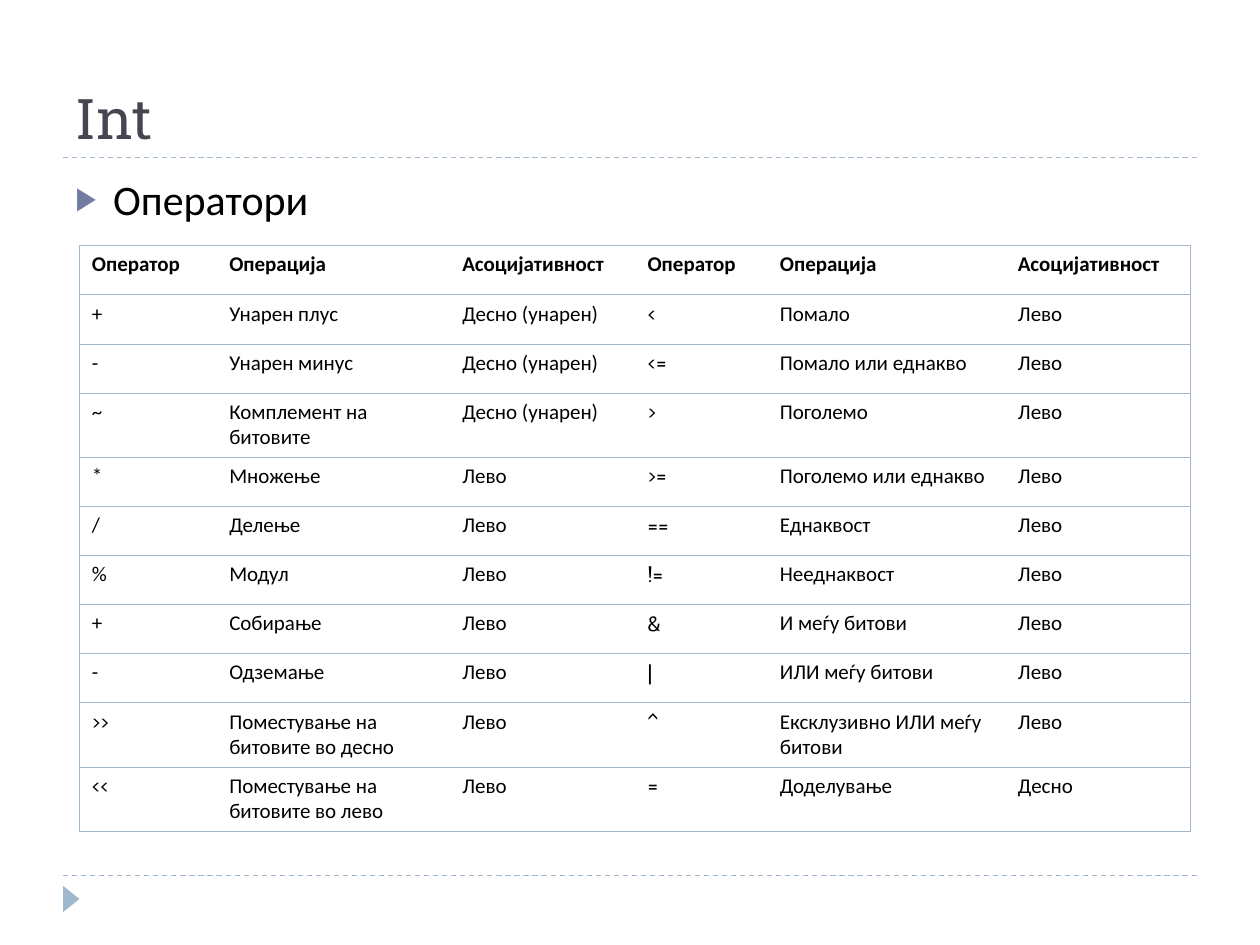
from lxml import etree
from pptx import Presentation
from pptx.dml.color import RGBColor
from pptx.enum.dml import MSO_LINE
from pptx.enum.shapes import MSO_CONNECTOR, MSO_SHAPE
from pptx.enum.text import MSO_ANCHOR, MSO_AUTO_SIZE, PP_ALIGN
from pptx.oxml import parse_xml
from pptx.oxml.ns import nsdecls, qn
from pptx.util import Pt

STRAIGHT = MSO_CONNECTOR.STRAIGHT
TRIANGLE = MSO_SHAPE.ISOSCELES_TRIANGLE
DASH = MSO_LINE.DASH
BOTTOM = MSO_ANCHOR.BOTTOM
TOP = MSO_ANCHOR.TOP
NO_FIT = MSO_AUTO_SIZE.NONE
LEFT = PP_ALIGN.LEFT


class Theme:
    accent = "9FB8CD"
    bullet = "727CA3"
    heading = "464653"
    body = "000000"
    heading_font = "Roboto Slab"
    body_font = "Calibri"
    symbol_font = "Cabin"
    heading_size = 32
    topic_size = 24
    cell_size = 12
    rule_width = 0.75
    border_width = 0.45


EMU_PER_PX = 9144
NO_TABLE_STYLE = "{2D5ABB26-0587-4C30-8999-92F81FD0307C}"


def px(*lengths):
    return [length * EMU_PER_PX for length in lengths]


def style(paragraph, font_name, size, color, bold=False):
    paragraph.alignment = LEFT
    for run in paragraph.runs:
        run.font.name = font_name
        run.font.size = Pt(size)
        run.font.bold = bold
        run.font.color.rgb = RGBColor.from_string(color)


prs = Presentation()
prs.slide_width, prs.slide_height = px(1000, 750)
slide = prs.slides.add_slide(prs.slide_layouts[5])

for rule_y in (695, 125):
    rule = slide.shapes.add_connector(STRAIGHT, *px(50, rule_y, 950, rule_y))
    rule.line.color.rgb = RGBColor.from_string(Theme.accent)
    rule.line.width = Pt(Theme.rule_width)
    rule.line.dash_style = DASH
    etree.SubElement(rule._element.spPr, qn("a:effectLst"))

footer_marker = slide.shapes.add_shape(TRIANGLE, *px(46, 707, 21, 13))
footer_marker.rotation = 90
footer_marker.shadow.inherit = False
footer_marker.fill.solid()
footer_marker.fill.fore_color.rgb = RGBColor.from_string(Theme.accent)
footer_marker.line.fill.background()

title = slide.shapes.title
title.left, title.top, title.width, title.height = px(50, 17, 900, 108)
title.text_frame.text = "Int"
title.text_frame.auto_size = NO_FIT
title.text_frame.vertical_anchor = BOTTOM
style(title.text_frame.paragraphs[0], Theme.heading_font, Theme.heading_size, Theme.heading)

topic = slide.shapes.add_textbox(*px(50, 133, 900, 540)).text_frame
topic.word_wrap = True
topic.text = "Оператори"
topic_line = topic.paragraphs[0]
style(topic_line, Theme.body_font, Theme.topic_size, Theme.body)
topic_line.space_before = Pt(6)
bullet_format = topic_line._p.get_or_add_pPr()
indent, = px(30)
bullet_format.set("marL", str(indent))
bullet_format.set("indent", str(-indent))
for bullet_xml in (
    f'<a:buClr {nsdecls("a")}><a:srgbClr val="{Theme.bullet}"/></a:buClr>',
    f'<a:buSzPct {nsdecls("a")} val="76000"/>',
    f'<a:buFont {nsdecls("a")} typeface="{Theme.body_font}"/>',
    f'<a:buChar {nsdecls("a")} char="▶"/>',
):
    bullet_format.append(parse_xml(bullet_xml))

headings = ("Оператор", "Операција", "Асоцијативност") * 2
operators = [
    headings,
    ("+", "Унарен плус", "Десно (унарен)", "<", "Помало", "Лево"),
    ("-", "Унарен минус", "Десно (унарен)", "<=", "Помало или еднакво", "Лево"),
    ("~", "Комплемент на битовите", "Десно (унарен)", ">", "Поголемо", "Лево"),
    ("*", "Множење", "Лево", ">=", "Поголемо или еднакво", "Лево"),
    ("/", "Делење", "Лево", "==", "Еднаквост", "Лево"),
    ("%", "Модул", "Лево", "!=", "Нееднаквост", "Лево"),
    ("+", "Собирање", "Лево", "&", "И меѓу битови", "Лево"),
    ("-", "Одземање", "Лево", "|", "ИЛИ меѓу битови", "Лево"),
    (">>", "Поместување на битовите во десно", "Лево", "^", "Ексклузивно ИЛИ меѓу битови", "Лево"),
    ("<<", "Поместување на битовите во лево", "Лево", "=", "Доделување", "Десно"),
]
column_widths = px(109, 185, 147, 105, 189, 147)
two_line_rows = (3, 9, 10)
row_heights = px(*(51 if row in two_line_rows else 39 for row in range(len(operators))))
last_column = len(headings) - 1

table = slide.shapes.add_table(
    len(operators), len(headings), *px(63, 195), sum(column_widths), sum(row_heights)
).table
table.horz_banding = False
table._tbl.tblPr.find(qn("a:tableStyleId")).text = NO_TABLE_STYLE
for column, width in zip(table.columns, column_widths):
    column.width = width

for row, entries in enumerate(operators):
    table.rows[row].height = row_heights[row]
    for col, entry in enumerate(entries):
        cell = table.cell(row, col)
        cell.text_frame.text = entry
        cell.vertical_anchor = TOP
        cell.margin_left, cell.margin_top, cell.margin_right, cell.margin_bottom = px(10, 5, 10, 5)
        is_symbol = row > 0 and (col == 3 or entry in ("<<", ">>"))
        cell_font = Theme.symbol_font if is_symbol else Theme.body_font
        style(cell.text_frame.paragraphs[0], cell_font, Theme.cell_size, Theme.body, bold=row == 0)
        cell.fill.background()
        sides = ["lnL"] * (col == 0) + ["lnR"] * (col == last_column) + ["lnT", "lnB"]
        for position, side in enumerate(sides):
            border = parse_xml(
                f'<a:{side} {nsdecls("a")} w="{Pt(Theme.border_width)}"><a:solidFill>'
                f'<a:srgbClr val="{Theme.accent}"/></a:solidFill></a:{side}>'
            )
            cell._tc.get_or_add_tcPr().insert(position, border)

prs.save("out.pptx")
